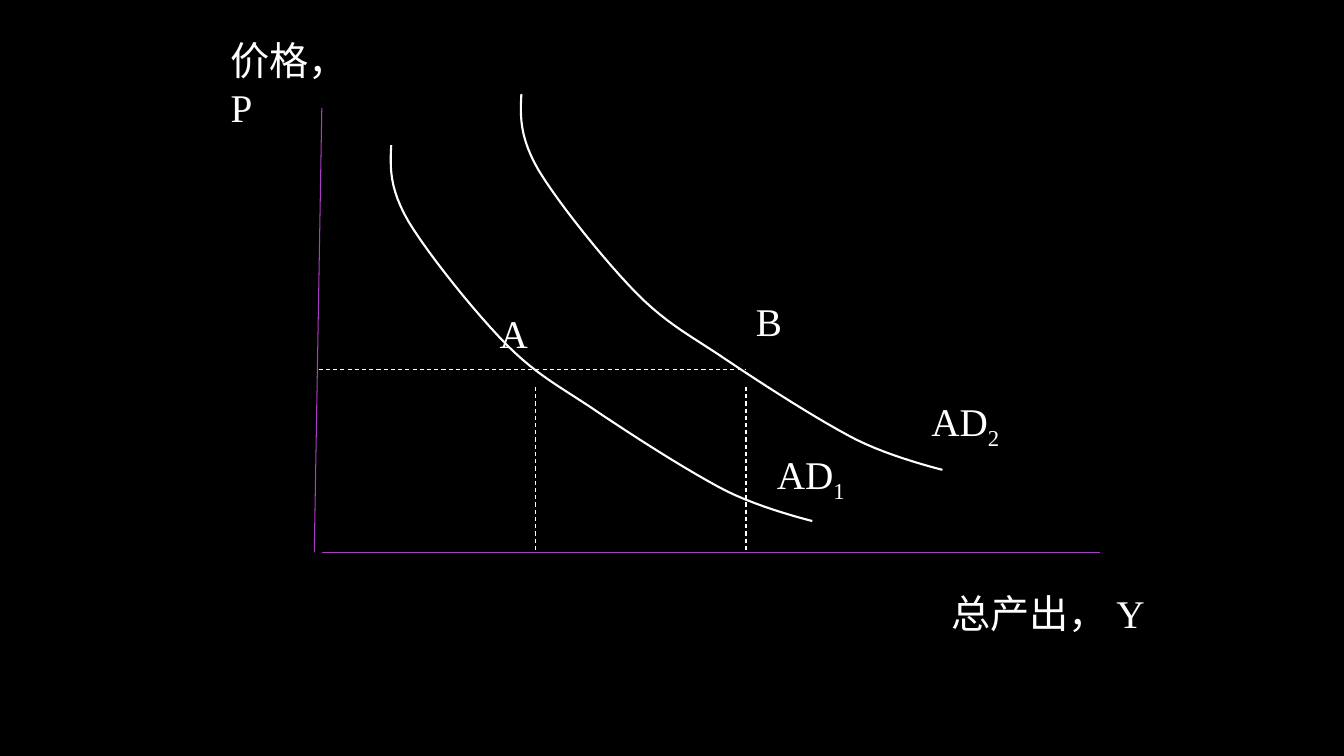
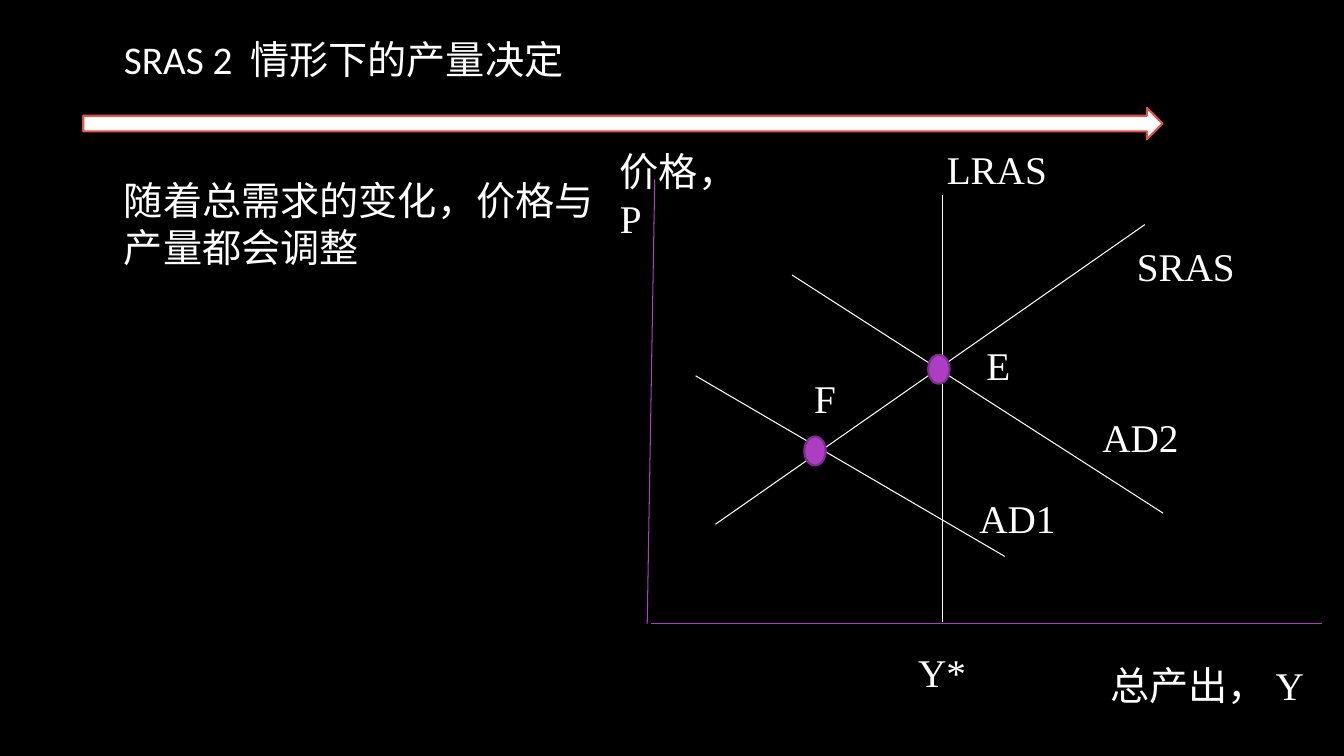
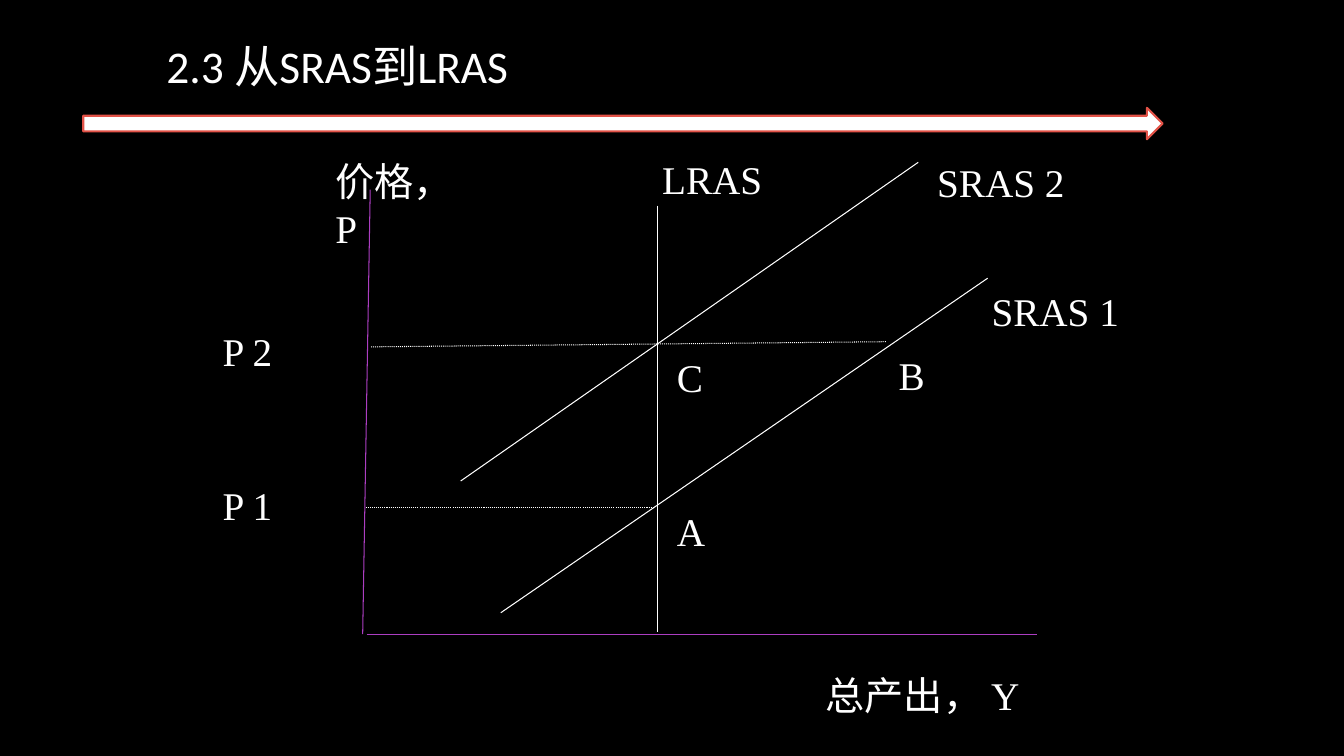
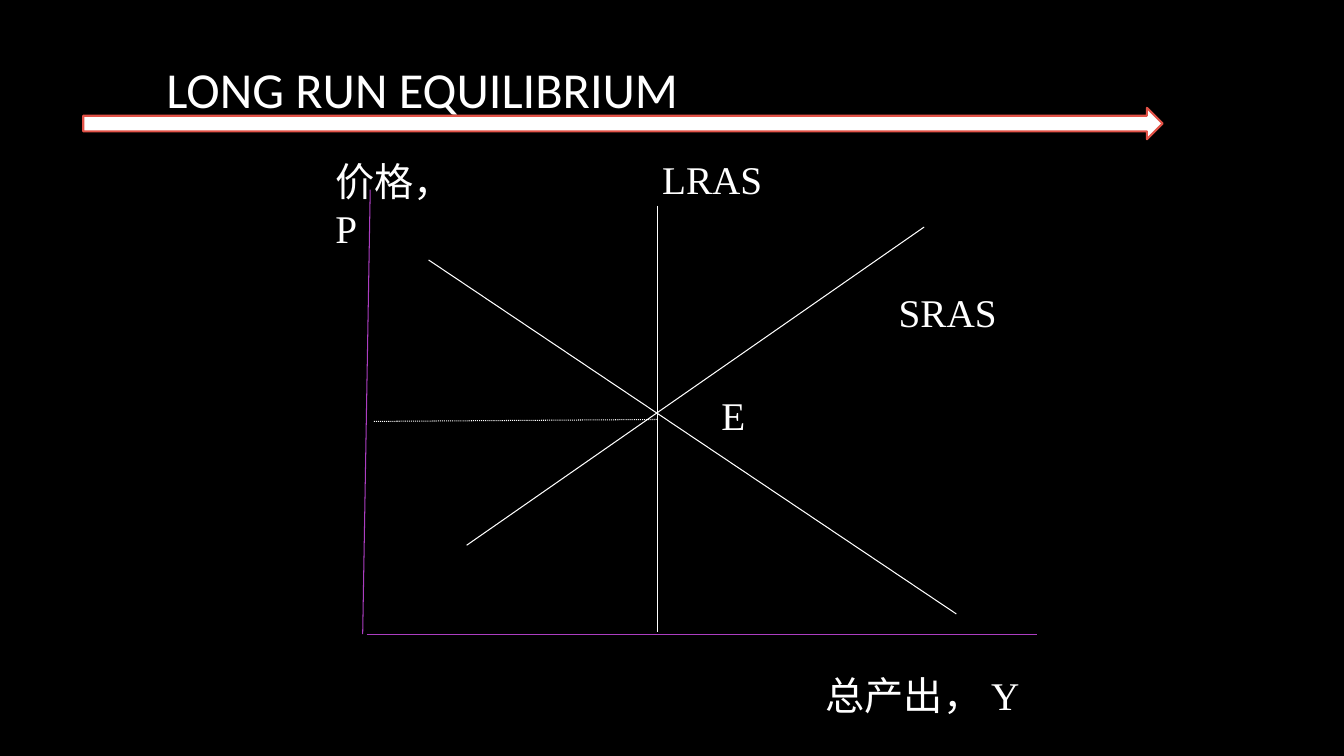
from dataclasses import dataclass

from lxml import etree
from pptx import Presentation
from pptx.dml.color import RGBColor
from pptx.enum.dml import MSO_LINE
from pptx.enum.shapes import MSO_CONNECTOR, MSO_SHAPE
from pptx.enum.text import MSO_ANCHOR, MSO_AUTO_SIZE, PP_ALIGN
from pptx.oxml.ns import qn
from pptx.util import Cm, Pt


@dataclass(frozen=True)
class Theme:
    background: RGBColor = RGBColor(0x00, 0x00, 0x00)
    ink: RGBColor = RGBColor(0xFF, 0xFF, 0xFF)
    accent: RGBColor = RGBColor(0xAC, 0x3E, 0xC1)
    accent_dark: RGBColor = RGBColor(0x7F, 0x2E, 0x8F)
    arrow_edge: RGBColor = RGBColor(0xE2, 0x52, 0x47)
    title_font: str = "Calibri"
    label_font: str = "Times New Roman"
    text_size: float = 28
    section_size: float = 32.4
    heading_size: float = 36
    thin: float = 0.75
    thick: float = 1.5


T = Theme()
TITLE_ONLY, BLANK = 5, 6
LABEL_HEIGHT = 1.45
LETTER_WIDTH = 1.78

# Demand curve in cm: start point, then (control, control, end) per segment
DEMAND_START = (9.86, 3.66)
DEMAND_SEGMENTS = [
    ((9.83, 4.21), (9.81, 4.76), (10.3, 5.59)),
    ((10.8, 6.42), (11.99, 7.9), (12.78, 8.7)),
    ((13.57, 9.49), (14.15, 9.76), (15.06, 10.38)),
    ((15.98, 11.0), (17.4, 11.91), (18.3, 12.37)),
    ((19.2, 12.82), (20.47, 13.13), (20.47, 13.13)),
]
DEMAND_SHIFT = (3.28, -1.29)


def write(p, text, font=T.label_font, size=T.text_size, color=T.ink, baseline=0):
    r = p.add_run()
    r.text = text
    r.font.name = font
    r.font.size = Pt(size)
    r.font.color.rgb = color
    if baseline:
        r.font._element.set("baseline", str(baseline * 1000))


def add_label(s, text, x, y, width=LETTER_WIDTH, subscript=""):
    tf = s.shapes.add_textbox(Cm(x), Cm(y), Cm(width), Cm(LABEL_HEIGHT)).text_frame
    tf.word_wrap = True
    write(tf.paragraphs[0], text)
    if subscript:
        write(tf.paragraphs[0], subscript, baseline=-25)


def add_line(s, x1, y1, x2, y2, color=T.ink, dash=None):
    line = s.shapes.add_connector(
        MSO_CONNECTOR.STRAIGHT, Cm(x1), Cm(y1), Cm(x2), Cm(y2))
    line.line.color.rgb = color
    line.line.width = Pt(T.thin)
    if dash is not None:
        line.line.dash_style = dash
    etree.SubElement(line._element.spPr, qn("a:effectLst"))


def add_preset(s, kind, x, y, width, height, fill, edge):
    shape = s.shapes.add_shape(kind, Cm(x), Cm(y), Cm(width), Cm(height))
    shape.shadow.inherit = False
    shape.fill.solid()
    shape.fill.fore_color.rgb = fill
    shape.line.color.rgb = edge
    shape.line.width = Pt(T.thick)


def add_dot(s, x, y):
    add_preset(s, MSO_SHAPE.OVAL, x, y, 0.54, 0.73, T.accent, T.accent_dark)


def bezier(start, segments, steps=12):
    """Points along a chain of cubic curves, without the start point."""
    points = []
    for c1, c2, end in segments:
        for i in range(1, steps + 1):
            t = i / steps
            u = 1 - t
            points.append(tuple(
                u**3 * a + 3 * u * u * t * b + 3 * u * t * t * c + t**3 * d
                for a, b, c, d in zip(start, c1, c2, end)))
        start = end
    return points


def add_demand_curve(s, dx=0, dy=0):
    def shifted(point):
        return Cm(point[0] + dx), Cm(point[1] + dy)

    builder = s.shapes.build_freeform(*shifted(DEMAND_START))
    builder.add_line_segments(
        [shifted(point) for point in bezier(DEMAND_START, DEMAND_SEGMENTS)], close=False)
    curve = builder.convert_to_shape()
    curve.shadow.inherit = False
    curve.fill.background()
    curve.line.color.rgb = T.ink
    curve.line.width = Pt(T.thick)


def add_axes(s, x, y, gap=0.1, length=17, price=(-0.94, -12.14), output=11.42):
    """Axes from the origin (x, y); price and output place the axis names."""
    add_line(s, x + 0.19, y - 11.2, x, y, T.accent)
    add_line(s, x + gap, y, x + length, y, T.accent)
    add_label(s, "价格，P", x + price[0], y + price[1], 3.9)
    add_label(s, "总产出， Y", x + output, y + 0.81, 6.12)


def add_lras(s, x, y):
    """The vertical long-run supply line of the axes with origin (x, y)."""
    add_line(s, x + 7.43, y - 10.8, x + 7.43, y - 0.05)
    add_label(s, "LRAS", x + 7.3, y - 12.19, 3.07)


def set_title(s, lines, x, y, width, height, size, anchor=MSO_ANCHOR.MIDDLE, gap=0):
    title = s.shapes.title
    title.left, title.top, title.width, title.height = map(Cm, (x, y, width, height))
    tf = title.text_frame
    tf.word_wrap = True
    tf.auto_size = MSO_AUTO_SIZE.NONE
    tf.vertical_anchor = anchor
    for i, text in enumerate(lines):
        p = tf.add_paragraph() if i else tf.paragraphs[0]
        p.alignment = PP_ALIGN.LEFT
        p.space_before = Pt(gap if i else 0)
        write(p, text, font=T.title_font, size=size)


def add_titled_slide(prs, *lines, **title_format):
    s = prs.slides.add_slide(prs.slide_layouts[TITLE_ONLY])
    set_title(s, lines, **title_format)
    add_preset(s, MSO_SHAPE.RIGHT_ARROW, 2.1, 2.72, 27.2, 0.79, T.ink, T.arrow_edge)
    return s


def build_demand_shift(prs):
    s = prs.slides.add_slide(prs.slide_layouts[BLANK])
    x, y = 7.92, 13.92
    add_axes(s, x, y, gap=0.2, length=19.8, price=(-2.36, -13.13), output=15.8)
    add_demand_curve(s)
    add_demand_curve(s, *DEMAND_SHIFT)
    add_label(s, "AD", 19.33, 11.23, 2.29, subscript="1")
    add_label(s, "AD", 23.22, 9.88, 2.29, subscript="2")
    add_line(s, 8.03, 9.32, 18.8, 9.32, dash=MSO_LINE.DASH)
    for output in (13.49, 18.8):
        add_line(s, output, 9.75, output, y, dash=MSO_LINE.DASH)
    add_label(s, "A", 12.34, 7.67)
    add_label(s, "B", 18.8, 7.37)


def build_short_run_output(prs):
    s = add_titled_slide(
        prs, "SRAS 2  情形下的产量决定", "随着总需求的变化，价格与产量都会调整",
        x=2.87, y=0.76, width=13.21, height=8.76, size=T.text_size,
        anchor=MSO_ANCHOR.TOP, gap=67)
    origin = 16.31, 15.72
    add_axes(s, *origin)
    add_lras(s, *origin)
    add_line(s, 18.03, 13.21, 28.85, 5.66)
    add_line(s, 17.53, 9.47, 25.32, 14.02)
    add_line(s, 19.96, 6.93, 29.31, 12.93)
    for text, x, y, width in [
        ("SRAS", 28.4, 5.99, 3.05),
        ("AD1", 24.43, 12.32, 2.46),
        ("AD2", 27.53, 10.29, 2.46),
        ("Y*", 22.89, 16.21, 2.29),
        ("F", 20.27, 9.32, LETTER_WIDTH),
        ("E", 24.61, 8.48, LETTER_WIDTH),
    ]:
        add_label(s, text, x, y, width)
    add_dot(s, 23.39, 8.94)
    add_dot(s, 20.27, 11)


def build_short_to_long_run(prs):
    s = add_titled_slide(prs, "2.3 从SRAS到LRAS", x=3.94, y=0.64,
                         width=21.59, height=2, size=T.section_size)
    origin = 9.14, 15.98
    add_axes(s, *origin)
    add_lras(s, *origin)
    add_line(s, 12.62, 15.44, 24.89, 7.01)
    add_line(s, 11.61, 12.12, 23.14, 4.09)
    add_line(s, 9.22, 12.78, 16.46, 12.78, dash=MSO_LINE.ROUND_DOT)
    add_line(s, 9.35, 8.74, 22.33, 8.61, dash=MSO_LINE.ROUND_DOT)
    for text, x, y, width in [
        ("SRAS 1", 24.74, 7.11, 4.32),
        ("SRAS 2", 23.37, 3.86, 4.8),
        ("P 1", 5.36, 12.01, 2.82),
        ("P 2", 5.36, 8.13, 2.82),
        ("A", 16.81, 12.65, LETTER_WIDTH),
        ("B", 22.4, 8.74, LETTER_WIDTH),
        ("C", 16.81, 8.79, LETTER_WIDTH),
    ]:
        add_label(s, text, x, y, width)


def build_long_run_equilibrium(prs):
    s = add_titled_slide(prs, "LONG RUN EQUILIBRIUM", x=3.94, y=0.64,
                         width=21.59, height=3.18, size=T.heading_size)
    origin = 9.14, 15.98
    add_axes(s, *origin)
    add_lras(s, *origin)
    add_line(s, 10.8, 6.55, 24.1, 15.47)
    add_line(s, 11.76, 13.74, 23.29, 5.72)
    add_line(s, 9.42, 10.62, 16.56, 10.57, dash=MSO_LINE.ROUND_DOT)
    add_label(s, "SRAS", 22.4, 7.14, 4.32)
    add_label(s, "E", 17.93, 9.73)


def main():
    prs = Presentation()
    prs.slide_width, prs.slide_height = Cm(33.87), Cm(19.05)
    fill = prs.slide_master.background.fill
    fill.solid()
    fill.fore_color.rgb = T.background
    build_demand_shift(prs)
    build_short_run_output(prs)
    build_short_to_long_run(prs)
    build_long_run_equilibrium(prs)
    prs.save("out.pptx")


if __name__ == "__main__":
    main()
